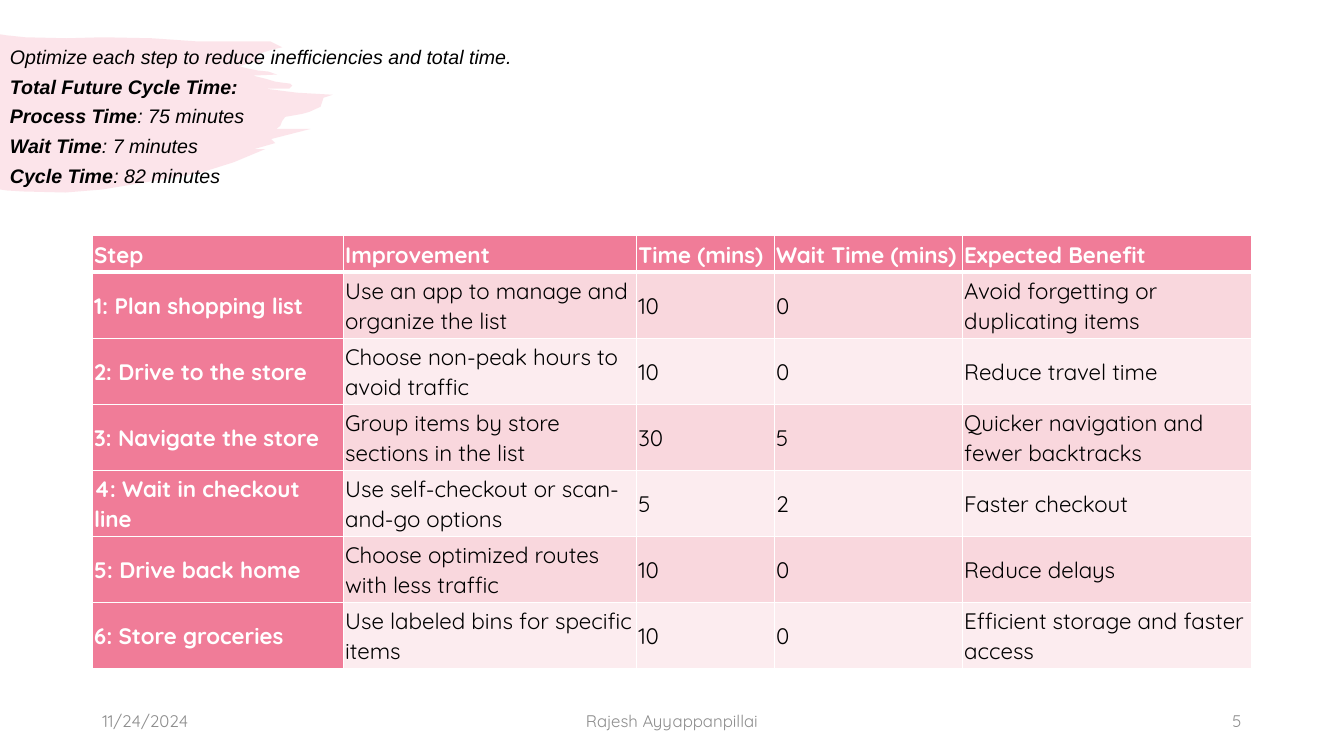
from lxml import etree
from pptx import Presentation, util as u
from pptx.dml.color import RGBColor
from pptx.enum import text as t
from pptx.oxml import ns

ROSE = RGBColor(0xF0, 0x7C, 0x98)
PINK = RGBColor(0xF9, 0xD7, 0xDD)
PALE = RGBColor(0xFC, 0xEC, 0xEF)
WHITE = RGBColor(0xFF, 0xFF, 0xFF)
BLACK = RGBColor(0, 0, 0)
GRAY = RGBColor(0x8C, 0x8C, 0x8C)
COLS, ROWS = 160, 90

BRUSH = [
    (0, 34), (6, 35), (25, 37), (66, 38), (102, 37), (151, 38), (194, 41),
    (248, 41), (268, 41), (280, 47), (271, 49), (255, 54), (253, 57),
    (256, 59), (262, 62), (248, 62), (238, 66), (246, 68), (256, 70),
    (266, 71), (275, 74), (251, 75), (263, 78), (273, 81), (280, 82),
    (288, 83), (290, 85), (287, 88), (284, 88), (263, 88), (295, 92),
    (330, 94), (321, 97), (318, 106), (307, 111), (300, 113), (283, 116),
    (280, 120), (278, 125), (274, 128), (308, 128), (269, 138), (273, 142),
    (252, 148), (263, 148), (232, 161), (197, 172), (102, 188), (65, 191),
    (23, 190), (7, 189), (0, 188),
]
NOTES = [
    [("Optimize each step to reduce inefficiencies and total time.", False)],
    [("Total Future Cycle Time:", True)],
    [("Process Time", True), (": 75 minutes", False)],
    [("Wait Time", True), (": 7 minutes", False)],
    [("Cycle Time", True), (": 82 minutes", False)],
]
STEPS = [
    ("Step", "Improvement", "Time (mins)", "Wait Time (mins)", "Expected Benefit"),
    ("1: Plan shopping list", "Use an app to manage and organize the list",
     "10", "0", "Avoid forgetting or duplicating items"),
    ("2: Drive to the store", "Choose non-peak hours to avoid traffic",
     "10", "0", "Reduce travel time"),
    ("3: Navigate the store", "Group items by store sections in the list",
     "30", "5", "Quicker navigation and fewer backtracks"),
    ("4: Wait in checkout line", "Use self-checkout or scan-and-go options",
     "5", "2", "Faster checkout"),
    ("5: Drive back home", "Choose optimized routes with less traffic",
     "10", "0", "Reduce delays"),
    ("6: Store groceries", "Use labeled bins for specific items",
     "10", "0", "Efficient storage and faster access"),
]


class Deck:
    """Hold the style, the grid and the current slide."""

    def __init__(self):
        self.prs = Presentation()
        self.cell = u.Inches(1) / 12
        self.prs.slide_width = self.size(COLS)
        self.prs.slide_height = self.size(ROWS)
        self.slide = self.prs.slides.add_slide(self.prs.slide_layouts[6])

    def size(self, n):
        return u.Emu(round(n * self.cell))

    def runs(self, para, parts, font, pts, color, italic=False):
        for words, bold in parts:
            run = para.add_run()
            run.text = words
            run.font.name, run.font.size = font, u.Pt(pts)
            run.font.color.rgb = color
            run.font.bold, run.font.italic = bold, italic

    def brush(self, points, color, alpha):
        build = self.slide.shapes.build_freeform(
            *points[0], scale=self.cell * 0.12)
        build.add_line_segments(points[1:], close=True)
        shape = build.convert_to_shape()
        shape.shadow.inherit = False
        shape.line.fill.background()
        shape.fill.solid()
        shape.fill.fore_color.rgb = color
        tint = shape.element.spPr.find(".//" + ns.qn("a:srgbClr"))
        etree.SubElement(tint, ns.qn("a:alpha"), val=str(alpha * 1000))

    def text(self, box, paras, font, pts, color, align=t.PP_ALIGN.LEFT,
             space=1, foot=0.6, italic=False):
        frame = self.slide.shapes.add_textbox(*map(self.size, box)).text_frame
        frame.word_wrap = True
        frame.vertical_anchor = t.MSO_ANCHOR.MIDDLE
        frame.margin_bottom = self.size(foot)
        for i, parts in enumerate(paras):
            para = frame.add_paragraph() if i else frame.paragraphs[0]
            para.alignment, para.line_spacing = align, space
            para.space_after = u.Pt(6)
            self.runs(para, parts, font, pts, color, italic)

    def edge(self, cell, side, pts):
        props = cell._tc.get_or_add_tcPr()
        line = etree.SubElement(props, ns.qn("a:ln" + side), w=str(u.Pt(pts)))
        fill = etree.SubElement(line, ns.qn("a:solidFill"))
        etree.SubElement(fill, ns.qn("a:srgbClr"), val=str(WHITE))

    def table(self, left, top, wide, high, data):
        frame = self.slide.shapes.add_table(
            len(data), len(wide), self.size(left), self.size(top),
            self.size(sum(wide)), self.size(sum(high)))
        grid = frame.table
        for col, n in zip(grid.columns, wide):
            col.width = self.size(n)
        for row, n in zip(grid.rows, high):
            row.height = self.size(n)
        for r, row in enumerate(data):
            for c, words in enumerate(row):
                self.fill(grid.cell(r, c), r, c, words)

    def fill(self, cell, r, c, words):
        head = r == 0 or c == 0
        for side in "LRTB":
            thick = (r, side) in ((0, "B"), (1, "T"))
            self.edge(cell, side, 3 if thick else 1)
        cell.fill.solid()
        cell.fill.fore_color.rgb = ROSE if head else PINK if r % 2 else PALE
        cell.vertical_anchor = t.MSO_ANCHOR.MIDDLE
        cell.margin_left = cell.margin_right = self.size(0.2)
        cell.margin_top = cell.margin_bottom = self.size(0.2)
        para = cell.text_frame.paragraphs[0]
        para.line_spacing, para.space_after = 1.07, u.Pt(8)
        self.runs(para, [(words, head)], "Quicksand", 16,
                  WHITE if head else BLACK)


def main():
    deck = Deck()
    deck.brush(BRUSH, ROSE, 20)
    deck.text((0, 4.6, 67.2, 22.2), NOTES, "Arial", 14, BLACK,
              space=0.9, foot=4, italic=True)
    deck.table(11, 28, (29.9, 34.9, 16.4, 22.4, 34.4),
               [4.4] + [7.86] * 6, STEPS)
    for left, wide, words, align in (
            (11, 36, "11/24/2024", t.PP_ALIGN.LEFT),
            (53, 54, "Rajesh Ayyappanpillai", t.PP_ALIGN.CENTER),
            (113, 36, "5", t.PP_ALIGN.RIGHT)):
        deck.text((left, 83.4, wide, 4.8), [[(words, False)]],
                  "Quicksand", 12, GRAY, align)
    deck.prs.save("out.pptx")


if __name__ == "__main__":
    main()
